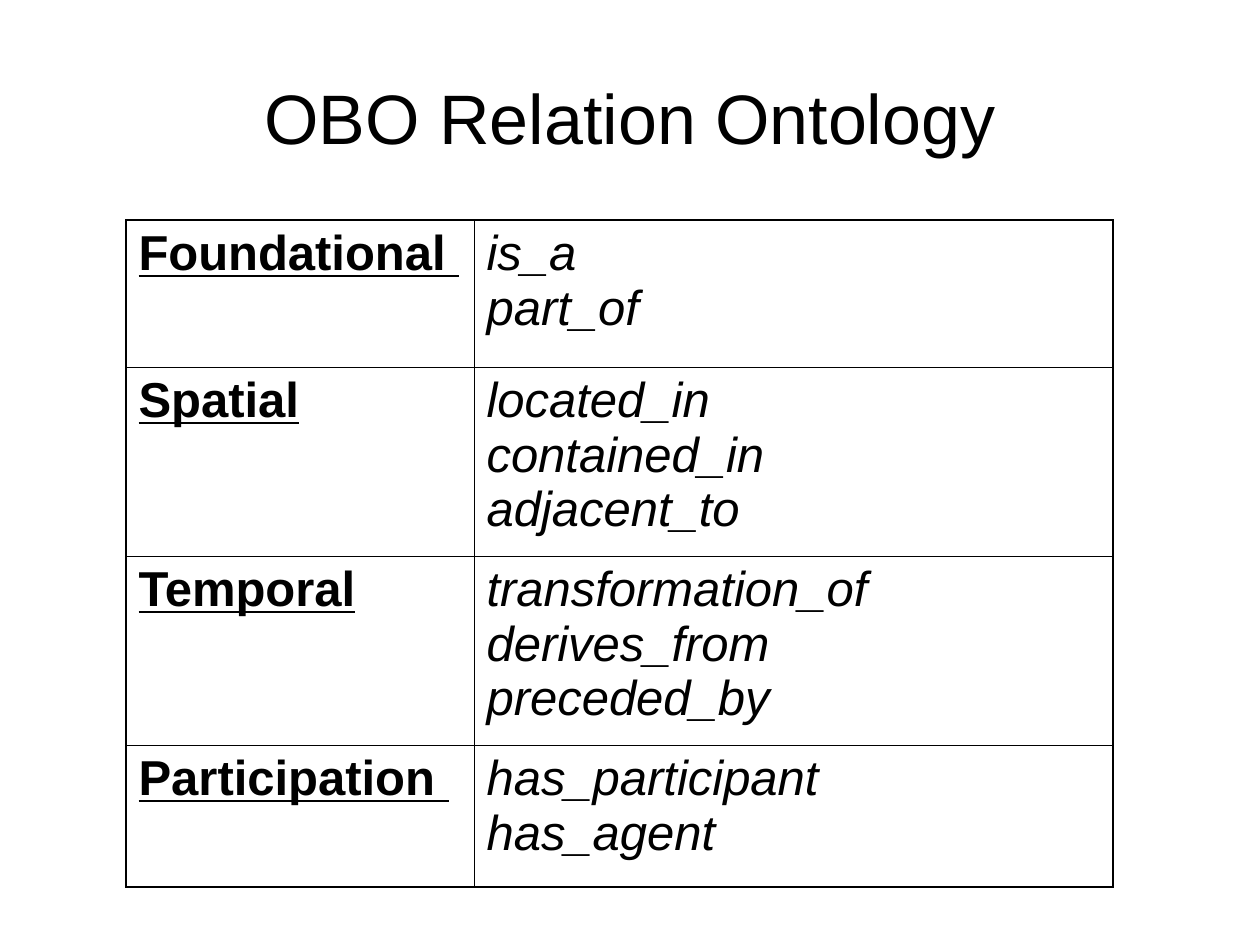
from pptx import Presentation, util as u
from pptx.dml.color import RGBColor
from pptx.enum import text as t
from pptx.oxml import parse_xml
from pptx.oxml.ns import nsdecls

TITLE = "OBO Relation Ontology"
ROWS = [
    ("Foundational ", ["is_a", "part_of"], 147),
    ("Spatial", ["located_in", "contained_in", "adjacent_to"], 189),
    ("Temporal", ["transformation_of", "derives_from", "preceded_by"], 189),
    ("Participation ", ["has_participant", "has_agent"], 142),
]
COLS = [348, 639]
COLORS = {"ink": "000000", "paper": "FFFFFF"}
THIN, THICK = 0.45, 1.08


def px(n):
    return u.Emu(n * 914400 // 126)


def rgb(name):
    return RGBColor.from_string(COLORS[name])


def write(frame, words, size=28, align=t.PP_ALIGN.LEFT, **style):
    frame.word_wrap = True
    para = frame.paragraphs[0]
    para.text = words
    para.alignment = align
    for run in para.runs:
        font = run.font
        font.name, font.size = "Arial", u.Pt(size)
        font.color.rgb = rgb("ink")
        for key, value in style.items():
            setattr(font, key, value)


def border(cell, edges):
    props = cell._tc.get_or_add_tcPr()
    for i, (side, outer) in enumerate(edges):
        width = u.Pt(THICK if outer else THIN)
        props.insert(i, parse_xml(
            f'<a:ln{side} {nsdecls("a")} w="{width}"><a:solidFill>'
            f'<a:srgbClr val="{COLORS["ink"]}"/></a:solidFill></a:ln{side}>'))


def main():
    prs = Presentation()
    prs.slide_width, prs.slide_height = u.Inches(10), u.Inches(7.5)
    slide = prs.slides.add_slide(prs.slide_layouts[6])

    title = slide.shapes.add_textbox(px(63), px(38), px(1134), px(158)).text_frame
    title.vertical_anchor = t.MSO_ANCHOR.MIDDLE
    write(title, TITLE, size=40, align=t.PP_ALIGN.CENTER)

    high = sum(row[2] for row in ROWS)
    table = slide.shapes.add_table(
        len(ROWS), len(COLS), px(126), px(220), px(sum(COLS)), px(high)).table
    table.first_row = table.horz_banding = False
    for col, wide in zip(table.columns, COLS):
        col.width = px(wide)

    for r, (group, names, tall) in enumerate(ROWS):
        table.rows[r].height = px(tall)
        left, right = table.cell(r, 0), table.cell(r, 1)
        write(left.text_frame, group, bold=True, underline=True)
        write(right.text_frame, "\v".join(names), italic=True)
        for c, cell in enumerate((left, right)):
            cell.fill.solid()
            cell.fill.fore_color.rgb = rgb("paper")
            border(cell, [("L", c == 0), ("R", c == len(COLS) - 1),
                          ("T", r == 0), ("B", r == len(ROWS) - 1)])

    prs.save("out.pptx")


if __name__ == "__main__":
    main()
